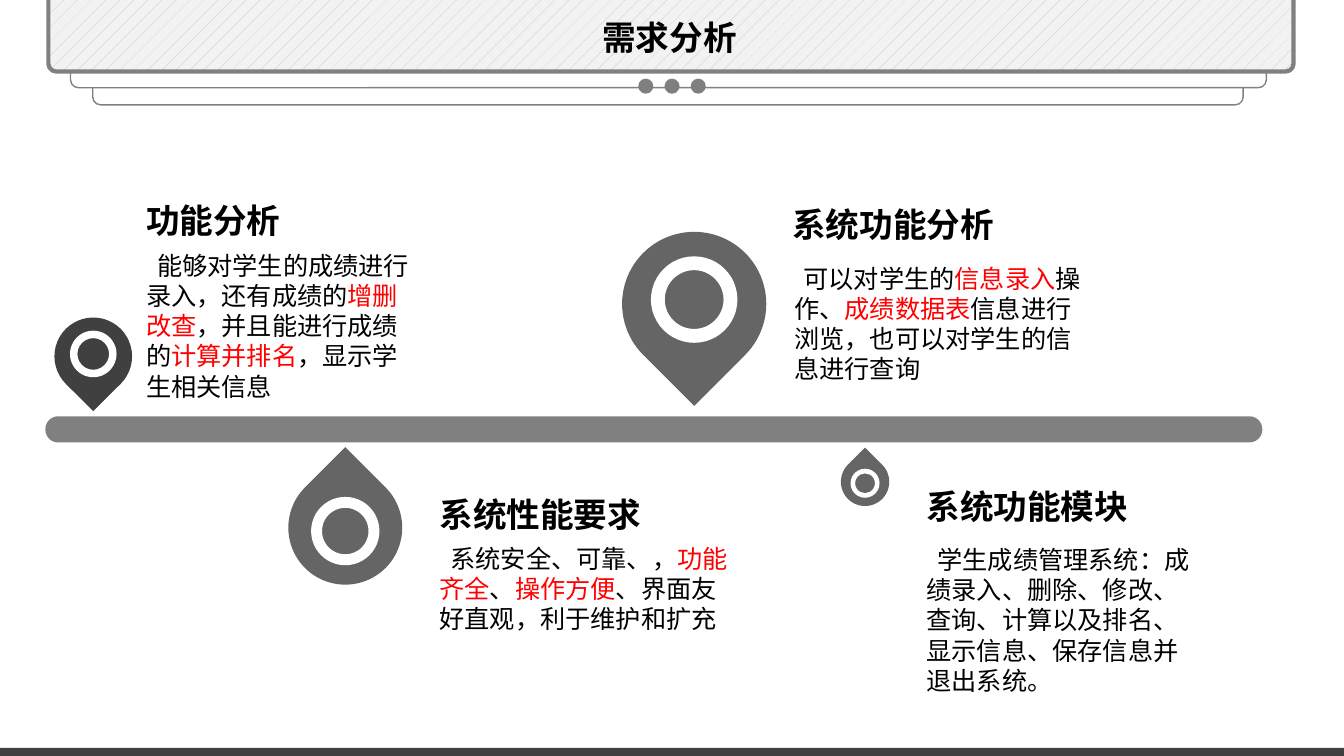
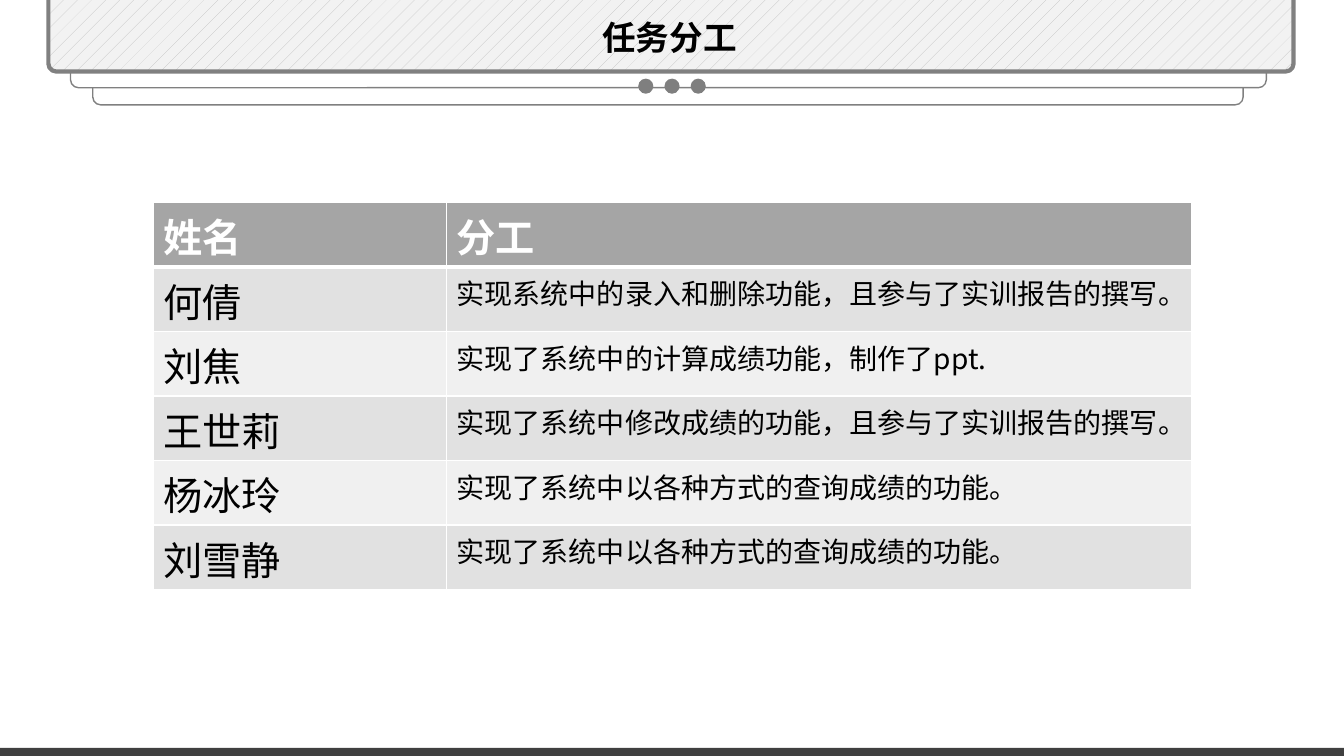
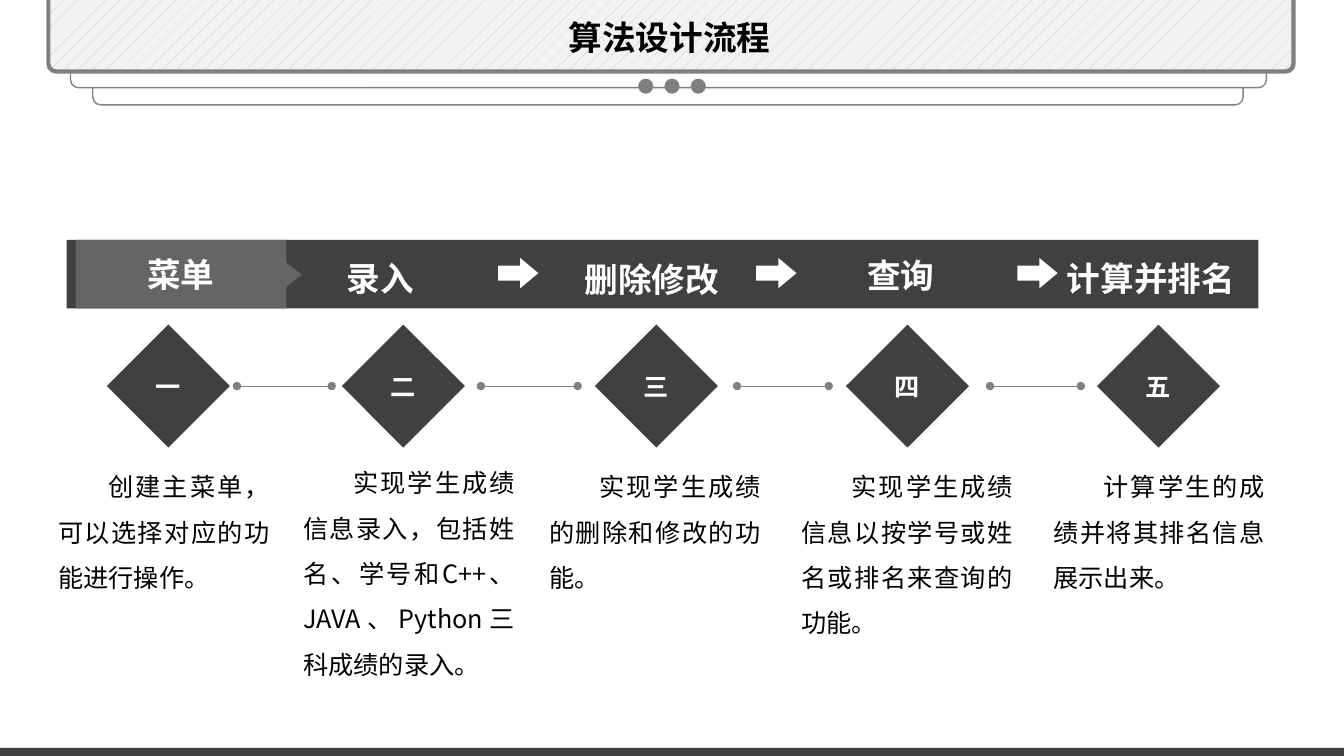
import dataclasses
import typing

import lxml.etree
import pptx
import pptx.dml.color
import pptx.enum.dml
import pptx.enum.shapes
import pptx.enum.text
import pptx.oxml.ns
import pptx.util

Inches = pptx.util.Inches
Pt = pptx.util.Pt
SHAPE = pptx.enum.shapes.MSO_SHAPE
ALIGN = pptx.enum.text.PP_ALIGN
qn = pptx.oxml.ns.qn

HEAD_FONT = "Noto Sans CJK JP"
BODY_FONT = "Noto Sans CJK SC"
BLACK, WHITE, RED = "000000", "FFFFFF", "FF0000"
DARK, MEDIUM, GRAY, DOT = "404040", "656565", "808080", "7F7F7F"


@dataclasses.dataclass
class Pin:
    x: float
    y: float
    size: float
    fill: str
    points_down: bool


@dataclasses.dataclass
class Topic:
    heading: str
    x: float
    y: float
    body: str
    body_x: float
    body_y: float
    body_w: float
    body_h: float
    indent: float = 0.11


@dataclasses.dataclass
class Step:
    numeral: str
    diamond_x: float
    body: str
    body_x: float
    body_y: float = 4.48
    body_h: float = 1.46


@dataclasses.dataclass
class Heading:
    text: str
    x: float
    y: float
    w: float = 1.83


PINS = [
    Pin(0.54, 3.15, 0.77, DARK, True),
    Pin(6.17, 2.3, 1.43, MEDIUM, True),
    Pin(2.86, 4.67, 1.13, MEDIUM, False),
    Pin(8.34, 4.54, 0.48, MEDIUM, False),
]
TOPICS = [
    Topic("功能分析", 1.35, 1.93,
          "能够对学生的成绩进行录入，还有成绩的*增删改查*，并且能进行成绩的*计算并排名*，显示学生相关信息",
          1.35, 2.43, 2.88, 1.61),
    Topic("系统功能分析", 7.76, 1.97,
          "可以对学生的*信息录入*操作、*成绩数据表*信息进行浏览，也可以对学生的信息进行查询",
          7.78, 2.56, 3.12, 1.31, 0.09),
    Topic("系统性能要求", 4.26, 4.85,
          "系统安全、可靠、，*功能齐全*、*操作方便*、界面友好直观，利于维护和扩充",
          4.26, 5.34, 3.07, 1.31),
    Topic("系统功能模块", 9.09, 4.77,
          "学生成绩管理系统：成绩录入、删除、修改、查询、计算以及排名、显示信息、保存信息并退出系统。",
          9.09, 5.35, 2.88, 1.61),
]
DUTIES = [
    ("姓名", "分工"),
    ("何倩", "实现系统中的录入和删除功能，且参与了实训报告的撰写。"),
    ("刘焦", "实现了系统中的计算成绩功能，制作了ppt."),
    ("王世莉", "实现了系统中修改成绩的功能，且参与了实训报告的撰写。"),
    ("杨冰玲", "实现了系统中以各种方式的查询成绩的功能。"),
    ("刘雪静", "实现了系统中以各种方式的查询成绩的功能。"),
]
HEADINGS = [
    Heading("录入", 2.86, 2.51),
    Heading("删除修改", 5.55, 2.52),
    Heading("查询", 8.02, 2.48),
    Heading("计算并排名", 10.35, 2.51, 2.13),
]
STEPS = [
    Step("一", 1.06, "创建主菜单，可以选择对应的功能进行操作。", 0.48),
    Step("二", 3.39, "实现学生成绩信息录入，包括姓名、学号和C++、JAVA、Python三科成绩的录入。",
         2.91, 4.44, 2.37),
    Step("三", 5.9, "实现学生成绩的删除和修改的功能。", 5.35),
    Step("四", 8.39, "实现学生成绩信息以按学号或姓名或排名来查询的功能。", 7.85, body_h=1.92),
    Step("五", 10.88, "计算学生的成绩并将其排名信息展示出来。", 10.35),
]
ARROWS = [4.94, 7.5, 10.09]
LINKS = [(2.35, 3.29), (4.77, 5.73), (7.31, 8.22), (9.82, 10.72)]


def rgb(color: str) -> pptx.dml.color.RGBColor:
    return pptx.dml.color.RGBColor.from_string(color)


def write(tf: typing.Any, text: str, size: float, color: str = BLACK, bold: bool = False,
          font: str = HEAD_FONT, align: ALIGN = ALIGN.LEFT, indent: float = 0,
          spacing: float = 1.0) -> None:
    p = tf.paragraphs[0]
    p.alignment = align
    p.line_spacing = spacing
    p.font.size = Pt(size)
    p.font.bold = bold
    p.font.name = font
    p.font.color.rgb = rgb(color)
    pPr = p._p.get_or_add_pPr()
    if indent:
        pPr.set("marL", "0")
        pPr.set("indent", str(Inches(indent)))
    lxml.etree.SubElement(pPr.find(qn("a:defRPr")), qn("a:ea"), typeface=font)
    for i, part in enumerate(text.split("*")):
        r = p.add_run()
        r.text = part
        if i % 2:
            r.font.color.rgb = rgb(RED)


def add_text(s: typing.Any, x: float, y: float, w: float, h: float, text: str,
             size: float, **style: typing.Any) -> None:
    tf = s.shapes.add_textbox(Inches(x), Inches(y), Inches(w), Inches(h)).text_frame
    tf.word_wrap = True
    tf.auto_size = pptx.enum.text.MSO_AUTO_SIZE.SHAPE_TO_FIT_TEXT
    write(tf, text, size, **style)


def add_shape(s: typing.Any, kind: SHAPE, x: float, y: float, w: float, h: float,
              fill: typing.Optional[str] = None, line: typing.Optional[str] = None,
              width: float = 1, adj: typing.Sequence[float] = (), rot: float = 0) -> typing.Any:
    sp = s.shapes.add_shape(kind, Inches(x), Inches(y), Inches(w), Inches(h))
    sp.shadow.inherit = False
    sp.rotation = rot
    for i, value in enumerate(adj):
        sp.adjustments[i] = value
    if fill:
        sp.fill.solid()
        sp.fill.fore_color.rgb = rgb(fill)
    else:
        sp.fill.background()
    if line:
        sp.line.color.rgb = rgb(line)
        sp.line.width = Pt(width)
    else:
        sp.line.fill.background()
    return sp


def add_label(sp: typing.Any, text: str, size: float) -> None:
    tf = sp.text_frame
    tf.word_wrap = False
    tf.vertical_anchor = pptx.enum.text.MSO_ANCHOR.MIDDLE
    write(tf, text, size, color=WHITE, bold=True, align=ALIGN.CENTER)


def add_link(s: typing.Any, x1: float, x2: float, y: float) -> None:
    cx = s.shapes.add_connector(pptx.enum.shapes.MSO_CONNECTOR.STRAIGHT,
                                Inches(x1), Inches(y), Inches(x2), Inches(y))
    cx.line.color.rgb = rgb(GRAY)
    cx.line.width = Pt(0.75)
    spPr = cx._element.spPr
    for end in ("a:headEnd", "a:tailEnd"):
        lxml.etree.SubElement(spPr.find(qn("a:ln")), qn(end), type="oval")
    lxml.etree.SubElement(spPr, qn("a:effectLst"))


def add_pin(s: typing.Any, pin: Pin) -> None:
    add_shape(s, SHAPE.TEAR, pin.x, pin.y, pin.size, pin.size, pin.fill,
              rot=135 if pin.points_down else 315)
    ring = 0.6 * pin.size
    inset = (pin.size - ring) / 2
    shift = (-0.03 if pin.points_down else 0.03) * pin.size
    add_shape(s, SHAPE.DONUT, pin.x + inset, pin.y + inset + shift, ring, ring, WHITE, adj=[0.16])


def add_border(cell: typing.Any, widths: typing.Dict[str, float]) -> None:
    tcPr = cell._tc.get_or_add_tcPr()
    for i, (side, width) in enumerate(widths.items()):
        ln = lxml.etree.Element(qn("a:" + side), w=str(Pt(width)))
        fill = lxml.etree.SubElement(ln, qn("a:solidFill"))
        lxml.etree.SubElement(fill, qn("a:srgbClr"), val=WHITE)
        tcPr.insert(i, ln)


def new_slide(prs: typing.Any, title: str) -> typing.Any:
    s = prs.slides.add_slide(prs.slide_layouts[6])
    add_shape(s, SHAPE.ROUNDED_RECTANGLE, 0.92, -2.86, 11.41, 3.9, None, GRAY, adj=[0.02])
    add_shape(s, SHAPE.ROUNDED_RECTANGLE, 0.7, -3.03, 11.86, 3.9, WHITE, GRAY, adj=[0.02])
    panel = add_shape(s, SHAPE.ROUNDED_RECTANGLE, 0.48, -3.19, 12.35, 3.9, WHITE, GRAY, 3, [0.02])
    panel.fill.patterned()
    panel.fill.pattern = pptx.enum.dml.MSO_PATTERN.PERCENT_5
    panel.fill.fore_color.rgb = rgb("BFBFBF")
    panel.fill.back_color.rgb = rgb("F2F2F2")
    add_shape(s, SHAPE.RECTANGLE, 0, 7.42, 13.33, 0.08, DARK)
    for i in range(3):
        add_shape(s, SHAPE.OVAL, 6.33 + 0.26 * i, 0.78, 0.15, 0.15, DOT)
    add_text(s, 4.26, 0.12, 4.76, 0.5, title, 24, bold=True, align=ALIGN.CENTER)
    return s


def build_requirements(prs: typing.Any) -> None:
    s = new_slide(prs, "需求分析")
    add_shape(s, SHAPE.ROUNDED_RECTANGLE, 0.45, 4.13, 12.07, 0.26, GRAY, adj=[0.49])
    for pin in PINS:
        add_pin(s, pin)
    for t in TOPICS:
        add_text(s, t.body_x, t.body_y, t.body_w, t.body_h, t.body, 18,
                 font=BODY_FONT, indent=t.indent)
        add_text(s, t.x, t.y, 2.35, 0.5, t.heading, 24, bold=True)


def build_duties(prs: typing.Any) -> None:
    s = new_slide(prs, "任务分工")
    table = s.shapes.add_table(len(DUTIES), 2, Inches(1.52), Inches(2.01),
                               Inches(10.3), Inches(3.84)).table
    table.horz_banding = False
    table.columns[0].width = Inches(2.91)
    table.columns[1].width = Inches(7.39)
    for i, duty in enumerate(DUTIES):
        table.rows[i].height = Inches(0.64)
        header = i == 0
        fill = "A5A5A5" if header else "E1E1E1" if i % 2 else "F0F0F0"
        for j, text in enumerate(duty):
            cell = table.cell(i, j)
            cell.margin_right = Inches(0.02)
            cell.fill.solid()
            cell.fill.fore_color.rgb = rgb(fill)
            add_border(cell, {"lnL": 1, "lnR": 1, "lnT": 3 if i == 1 else 1,
                              "lnB": 3 if header else 1})
            write(cell.text_frame, text, 28 if header or j == 0 else 20,
                  color=WHITE if header else BLACK, bold=header,
                  font=BODY_FONT, align=ALIGN.JUSTIFY)


def build_flow(prs: typing.Any) -> None:
    s = new_slide(prs, "算法设计流程")
    add_shape(s, SHAPE.RECTANGLE, 0.66, 2.38, 11.82, 0.68, DARK)
    for h in HEADINGS:
        add_text(s, h.x, h.y, h.w, 0.5, h.text, 24, color=WHITE, bold=True, align=ALIGN.CENTER)
    for x in ARROWS:
        add_shape(s, SHAPE.RIGHT_ARROW, x, 2.56, 0.4, 0.3, WHITE, adj=[0.5, 0.6])
    menu = add_shape(s, SHAPE.RECTANGLE, 0.75, 2.38, 2.09, 0.68, MEDIUM)
    add_label(menu, "菜单", 24)
    add_shape(s, SHAPE.ISOSCELES_TRIANGLE, 2.73, 2.62, 0.32, 0.21, MEDIUM, rot=90)
    for x1, x2 in LINKS:
        add_link(s, x1, x2, 3.83)
    for step in STEPS:
        diamond = add_shape(s, SHAPE.DIAMOND, step.diamond_x, 3.22, 1.22, 1.22, DARK)
        add_label(diamond, step.numeral, 18)
        add_text(s, step.body_x, step.body_y, 2.29, step.body_h, step.body, 18,
                 font=BODY_FONT, align=ALIGN.JUSTIFY, indent=0.5, spacing=1.5)


def main() -> None:
    prs = pptx.Presentation()
    prs.slide_width = Inches(13.33)
    prs.slide_height = Inches(7.5)
    build_requirements(prs)
    build_duties(prs)
    build_flow(prs)
    prs.save("out.pptx")


if __name__ == "__main__":
    main()
